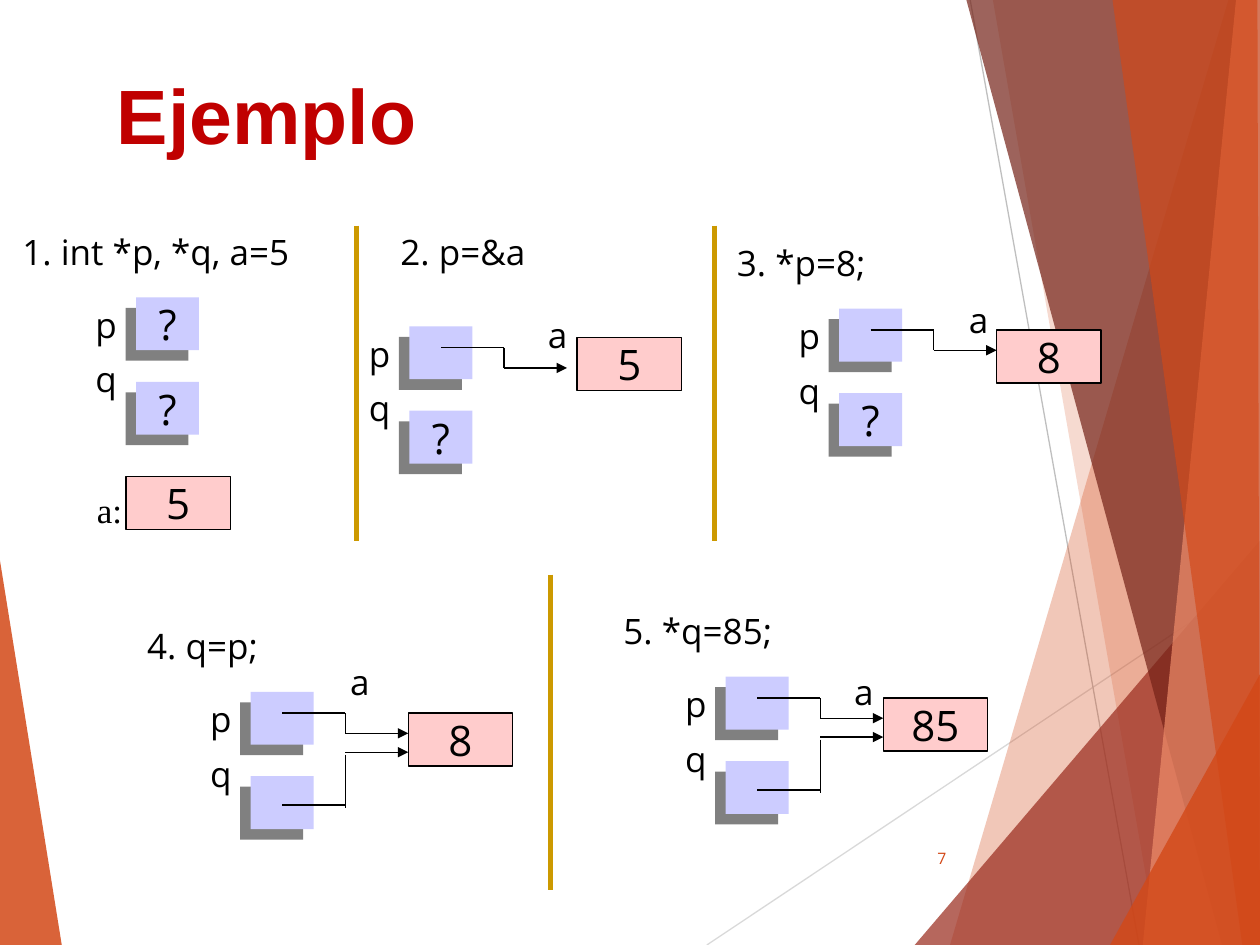
from dataclasses import dataclass
from lxml import etree
from pptx import Presentation
from pptx.dml.color import RGBColor
from pptx.enum.shapes import MSO_CONNECTOR as Conn, MSO_SHAPE as Shape
from pptx.enum.text import MSO_ANCHOR as Anchor, MSO_AUTO_SIZE as Auto, PP_ALIGN as Align
from pptx.oxml.ns import qn
from pptx.util import Inches, Pt


@dataclass(frozen=True)
class Theme:
    font: str = "Open Sans"
    title_font: str = "Arial"
    serif: str = "Times New Roman"
    ink: str = "000000"
    title: str = "C00000"
    accent: str = "D34817"
    brick: str = "9B2D1F"
    maroon: str = "742217"
    salmon: str = "EF8C6A"
    pointer: str = "CCCCFF"
    value: str = "FFCCCC"
    shadow: str = "808080"
    divider: str = "CC9900"
    pale_gray: str = "D9D9D9"
    gray: str = "BFBFBF"
    title_size: int = 44
    value_size: int = 24
    body_size: int = 20
    number_size: int = 9


class Canvas:
    def __init__(self, s, theme):
        self.s, self.t = s, theme

    def style(self, p, size, color=None, font=None, align=None, bold=False):
        p.font.size, p.font.name, p.font.bold = Pt(size), font or self.t.font, bold
        p.font.color.rgb = RGBColor.from_string(color or self.t.ink)
        p.alignment = align

    def text(self, x, y, w, h, lines, size=None, anchor=Anchor.TOP, grow=True, **kw):
        tf = self.s.shapes.add_textbox(*map(Inches, (x, y, w, h))).text_frame
        tf.word_wrap, tf.vertical_anchor = True, anchor
        tf.auto_size = Auto.SHAPE_TO_FIT_TEXT if grow else Auto.NONE
        for i, line in enumerate(lines):
            p = tf.add_paragraph() if i else tf.paragraphs[0]
            p.text = line
            self.style(p, size or self.t.body_size, **kw)
            if i:
                p.space_before = Pt(7)
        return tf

    def box(self, x, y, w, text, fill, shadow=False):
        sp = self.s.shapes.add_shape(Shape.RECTANGLE, *map(Inches, (x, y, w, 0.42)))
        sp.shadow.inherit = False
        sp.fill.solid()
        sp.fill.fore_color.rgb = RGBColor.from_string(fill)
        if shadow:
            sp.line.fill.background()
            effects = sp._element.spPr.find(qn("a:effectLst"))
            outer = etree.SubElement(effects, qn("a:outerShdw"), dist=str(Pt(8.5)),
                                     dir="8100000", algn="ctr", rotWithShape="0")
            etree.SubElement(outer, qn("a:srgbClr"), val=self.t.shadow)
        else:
            sp.line.color.rgb = RGBColor.from_string(self.t.ink)
            sp.line.width = Pt(0.75)
        if text:
            tf = sp.text_frame
            tf.word_wrap, tf.vertical_anchor = False, Anchor.MIDDLE
            p = tf.paragraphs[0]
            p.text = text
            self.style(p, self.t.value_size, align=Align.CENTER)

    def line(self, x1, y1, x2, y2, color=None, width=0.75, arrow=False):
        c = self.s.shapes.add_connector(Conn.STRAIGHT, *map(Inches, (x1, y1, x2, y2)))
        c.line.color.rgb = RGBColor.from_string(color or self.t.ink)
        c.line.width = Pt(width)
        if arrow:
            etree.SubElement(c.line._get_or_add_ln(), qn("a:tailEnd"), type="triangle")
        etree.SubElement(c._element.spPr, qn("a:effectLst"))

    def facet(self, points, color, opacity):
        pts = [(Inches(x), Inches(y)) for x, y in points]
        fb = self.s.shapes.build_freeform(*pts[0], scale=1.0)
        fb.add_line_segments(pts[1:], close=True)
        sp = fb.convert_to_shape()
        sp.shadow.inherit = False
        sp.line.fill.background()
        sp.fill.solid()
        sp.fill.fore_color.rgb = RGBColor.from_string(color)
        clr = sp._element.spPr.find(qn("a:solidFill"))[0]
        etree.SubElement(clr, qn("a:alpha"), val=str(opacity * 1000))

    def heading(self, x, y, text, w=3):
        self.text(x, y, w, 0.43, [text])

    def pointers(self, x, y, p_value, q_value):
        for dy, value in ((0, p_value), (0.67, q_value)):
            self.box(x, y + dy, 0.5, value, self.t.pointer, shadow=True)
        self.text(x - 0.42, y, 0.5, 0.93, ["p", "q"])

    def variable(self, x, y, value):
        self.box(x, y, 0.83, value, self.t.value)

    def p_arrow(self, x, y):
        self.line(x + 0.25, y + 0.17, x + 0.75, y + 0.17)
        self.line(x + 0.75, y + 0.17, x + 0.75, y + 0.33)
        self.line(x + 0.75, y + 0.33, x + 1.25, y + 0.33, arrow=True)

    def q_arrow(self, x, y):
        self.line(x + 0.25, y + 0.9, x + 0.75, y + 0.9)
        self.line(x + 0.75, y + 0.5, x + 0.75, y + 0.92)
        self.line(x + 0.75, y + 0.48, x + 1.25, y + 0.48, arrow=True)


prs = Presentation()
prs.slide_width, prs.slide_height = Inches(10), Inches(7.5)
t = Theme()
c = Canvas(prs.slides.add_slide(prs.slide_layouts[6]), t)

c.facet([(0, 4.45), (0.49, 7.5), (0, 7.5)], t.accent, 85)
c.line(5.61, 7.5, 10, 4.57, t.pale_gray)
c.line(7.7, 0, 9.04, 7.5, t.gray)
for points, color, opacity in (
    ([(9.75, 0), (7.54, 7.5), (10, 7.5), (10, 0)], t.accent, 30),
    ([(7.88, 0), (9.19, 7.5), (10, 7.5), (10, 0)], t.accent, 20),
    ([(7.26, 7.5), (10, 4.29), (10, 7.5)], t.brick, 72),
    ([(7.67, 0), (9.7, 7.5), (10, 7.5), (10, 0)], t.maroon, 70),
    ([(9.81, 0), (9.07, 7.5), (10, 7.5), (10, 0)], t.salmon, 70),
    ([(8.83, 0), (9.86, 7.5), (10, 7.5), (9.98, 0)], t.accent, 65),
    ([(8.81, 7.5), (10, 5.35), (10, 7.5)], t.accent, 80),
):
    c.facet(points, color, opacity)

c.text(0.83, 0.7, 2.67, 0.63, ["Ejemplo"], t.title_size, Anchor.BOTTOM, False,
       color=t.title, font=t.title_font, bold=True).paragraphs[0].line_spacing = 0.9
c.text(7.05, 6.61, 0.56, 0.4, ["7"], t.number_size, Anchor.MIDDLE, False,
       color=t.accent, align=Align.RIGHT)

for x, y in ((2.83, 1.79), (5.67, 1.79), (4.37, 4.56)):
    c.line(x, y, x, y + 2.5, t.divider, 3)

c.heading(0.08, 1.78, "1. int *p, *q, a=5")
c.pointers(1.08, 2.36, "?", "?")
c.variable(1, 3.78, "5")
c.text(0.67, 3.83, 0.42, 0.43, ["a:"], font=t.serif)

for title, title_at, (x, y), q_value, value, value_at, a_at in (
    ("2. p=&a", (3.08, 1.78), (3.25, 2.59), "?", "5", (4.58, 2.68), (4.25, 2.44)),
    ("3. *p=8;", (5.75, 1.87), (6.66, 2.45), "?", "8", (7.91, 2.62), (7.59, 2.32)),
    ("4. q=p;", (1.07, 4.91), (1.99, 5.49), "", "8", (3.24, 5.66), (2.68, 5.19)),
    ("5. *q=85;", (4.85, 4.79), (5.76, 5.37), "", "85", (7.01, 5.54), (6.68, 5.27)),
):
    c.heading(*title_at, title)
    c.pointers(x, y, "", q_value)
    c.variable(*value_at, value)
    c.p_arrow(x, y)
    if not q_value:
        c.q_arrow(x, y)
    c.heading(*a_at, "a", 0.42)

prs.save("out.pptx")
